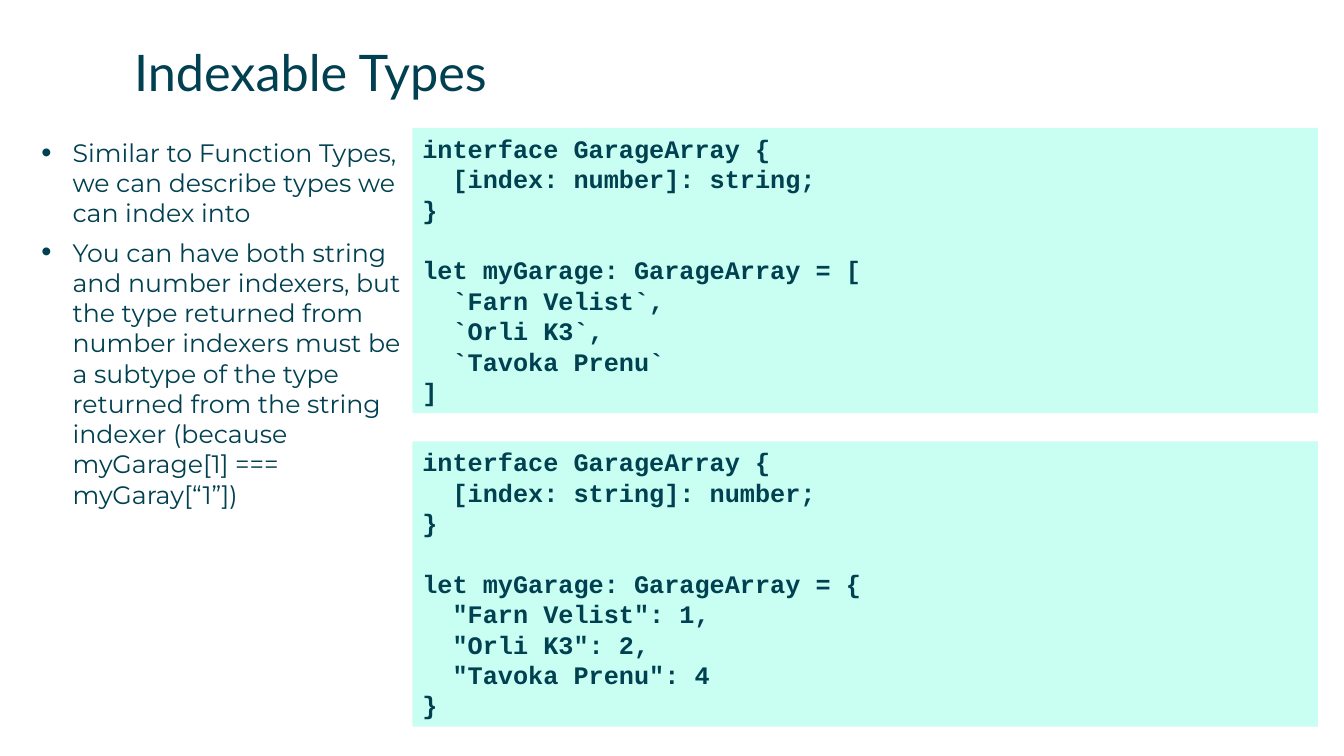
import pptx
import pptx.dml.color
import pptx.enum.shapes
import pptx.enum.text
import pptx.oxml
import pptx.oxml.ns
import pptx.util
from pptx.util import Inches

COLORS = {"ink": "004050", "code_fill": "C8FFF2"}
CODE_LINE = 21.7  # points per line of code

TITLE = "Indexable Types"
POINTS = [
    "Similar to Function Types, we can describe types we can index into",
    "You can have both string and number indexers, but the type returned from "
    "number indexers must be a subtype of the type returned from the string "
    "indexer (because myGarage[1] === myGaray[“1”])",
]
# Each listing is a list of blocks; each line is (indent level, code).
ARRAY_CODE = [
    [(0, "interface GarageArray {"), (1, "[index: number]: string;"), (0, "}")],
    [(0, "let myGarage: GarageArray = ["), (1, "`Farn Velist`,"),
     (1, "`Orli K3`,"), (1, "`Tavoka Prenu`"), (0, "]")],
]
MAP_CODE = [
    [(0, "interface GarageArray {"), (1, "[index: string]: number;"), (0, "}")],
    [(0, "let myGarage: GarageArray = {"), (1, '"Farn Velist": 1,'),
     (1, '"Orli K3": 2,'), (1, '"Tavoka Prenu": 4'), (0, "}")],
]


def rgb(name):
    return pptx.dml.color.RGBColor.from_string(COLORS[name])


def place(sp, box):
    sp.left, sp.top, sp.width, sp.height = (Inches(v) for v in box)


def clear_frame(tf):
    """Remove margins and autofit, and start the text at the top."""
    tf.margin_left = tf.margin_top = tf.margin_right = tf.margin_bottom = 0
    tf.auto_size = pptx.enum.text.MSO_AUTO_SIZE.NONE
    tf.vertical_anchor = pptx.enum.text.MSO_ANCHOR.TOP
    tf.word_wrap = True


def format_paragraph(p, font, size, bold=False):
    p.alignment = pptx.enum.text.PP_ALIGN.LEFT
    for r in p.runs:
        r.font.name = font
        r.font.size = pptx.util.Pt(size)
        r.font.bold = bold
        r.font.color.rgb = rgb("ink")


def set_indent(p, left, first=0):
    pPr = p._p.get_or_add_pPr()
    pPr.set("marL", str(Inches(left)))
    pPr.set("indent", str(Inches(first)))
    return pPr


def add_bullet(p):
    pPr = set_indent(p, 0.31, -0.31)
    for tag, key, value in (("a:buSzPct", "val", "115000"),
                            ("a:buFont", "typeface", "Arial"),
                            ("a:buChar", "char", "•")):
        bullet = pptx.oxml.parse_xml(f"<{tag} {pptx.oxml.ns.nsdecls('a')}/>")
        bullet.set(key, value)
        pPr.append(bullet)


def fill_title(sp, box):
    place(sp, box)
    tf = sp.text_frame
    clear_frame(tf)
    tf.text = TITLE
    format_paragraph(tf.paragraphs[0], "Lato", 36)


def fill_points(sp, box):
    place(sp, box)
    tf = sp.text_frame
    clear_frame(tf)
    tf.text = "\n".join(POINTS)
    for p in tf.paragraphs:
        format_paragraph(p, "Montserrat", 18)
        p.space_before = pptx.util.Pt(0)
        p.space_after = pptx.util.Pt(6.5)
        add_bullet(p)


def add_code(slide, box, blocks):
    """Draw a code panel with one line of space between blocks."""
    sp = slide.shapes.add_shape(pptx.enum.shapes.MSO_SHAPE.RECTANGLE,
                                *(Inches(v) for v in box))
    sp.shadow.inherit = False
    sp.fill.solid()
    sp.fill.fore_color.rgb = rgb("code_fill")
    sp.line.fill.background()
    tf = sp.text_frame
    tf.word_wrap = True
    tf.vertical_anchor = pptx.enum.text.MSO_ANCHOR.TOP
    tf.text = "\n".join(code for block in blocks for _, code in block)
    paragraphs = iter(tf.paragraphs)
    for b, block in enumerate(blocks):
        for i, (level, _) in enumerate(block):
            p = next(paragraphs)
            format_paragraph(p, "Courier New", 18, bold=True)
            p.line_spacing = pptx.util.Pt(CODE_LINE)
            p.space_before = pptx.util.Pt(CODE_LINE if b and i == 0 else 0)
            set_indent(p, 0.3 * level)


def build_code_slide(prs):
    slide = prs.slides.add_slide(prs.slide_layouts[1])
    fill_title(slide.shapes.title, (1.33, 0.41, 11.59, 0.57))
    fill_points(slide.placeholders[1], (0.41, 1.36, 3.58, 5.73))
    for i, blocks in enumerate((ARRAY_CODE, MAP_CODE)):
        add_code(slide, (4.09, 1.27 + 3.11 * i, 8.98, 2.83), blocks)


def main():
    prs = pptx.Presentation()
    prs.slide_width = Inches(13.33)
    prs.slide_height = Inches(7.5)
    build_code_slide(prs)
    prs.save("out.pptx")


if __name__ == "__main__":
    main()
